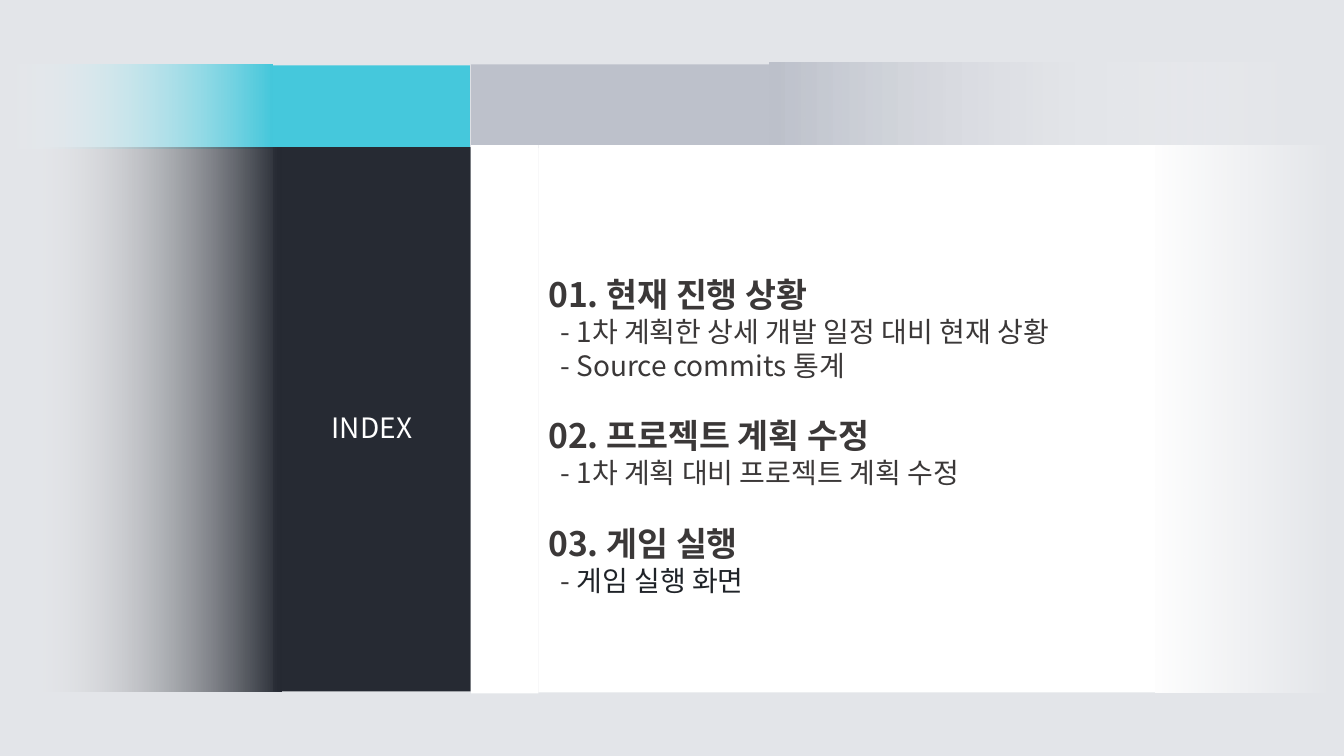
from lxml.etree import SubElement
from pptx import Presentation
from pptx.dml.color import RGBColor
from pptx.enum.shapes import MSO_SHAPE
from pptx.enum.text import MSO_ANCHOR, PP_ALIGN
from pptx.oxml.ns import qn
from pptx.util import Inches, Pt

COLORS = {
    "background": "E3E5E9",
    "teal": "45C8DC",
    "dark": "262A33",
    "grey": "BDC1CB",
    "white": "FFFFFF",
    "text": "3B3838",
    "ink": "1F2328",
}
FONT = "Noto Sans CJK KR"

# Each section: heading, then its items as lists of (text, font, colour) runs.
SECTIONS = [
    ("01. 현재 진행 상황", [
        [("- 1차 계획한 상세 개발 일정 대비 현재 상황", FONT, "text")],
        [("- Source commits 통계", FONT, "text")],
    ]),
    ("02. 프로젝트 계획 수정", [
        [("- 1차 계획 대비 프로젝트 계획 수정", FONT, "text")],
    ]),
    ("03. 게임 실행", [
        [("- ", FONT, "text"), ("게임 실행 화면", "Calibri", "ink")],
    ]),
]


def rgb(name):
    return RGBColor.from_string(COLORS[name])


def add_panel(slide, left, top, width, height):
    panel = slide.shapes.add_shape(
        MSO_SHAPE.RECTANGLE,
        Inches(left), Inches(top), Inches(width), Inches(height))
    panel.shadow.inherit = False
    panel.line.fill.background()
    return panel


def add_solid(slide, color, *box):
    panel = add_panel(slide, *box)
    panel.fill.solid()
    panel.fill.fore_color.rgb = rgb(color)
    return panel


def add_fade(slide, color, angle, *box):
    """Add a panel that fades from the colour to transparent white."""
    panel = add_panel(slide, *box)
    panel.fill.gradient()
    panel.fill.gradient_angle = angle
    for stop, name, position in zip(
            panel.fill.gradient_stops, (color, "white"), (0, 1)):
        stop.color.rgb = rgb(name)
        stop.position = position
    gradient = panel._element.spPr.find(qn("a:gradFill"))
    faded = gradient.findall(".//" + qn("a:srgbClr"))[-1]
    SubElement(faded, qn("a:alpha"), val="0")


def add_run(paragraph, text, size, color, font=FONT, bold=False):
    run = paragraph.add_run()
    run.text = text
    run.font.size = Pt(size)
    run.font.bold = bold
    run.font.name = font
    run.font.color.rgb = rgb(color)
    SubElement(run._r.get_or_add_rPr(), qn("a:ea"), typeface=FONT)


def add_index_label(panel):
    panel.text_frame.vertical_anchor = MSO_ANCHOR.MIDDLE
    label = panel.text_frame.paragraphs[0]
    label.alignment = PP_ALIGN.CENTER
    label.line_spacing = 1.5
    add_run(label, "INDEX", 20, "white")


def add_contents(panel):
    frame = panel.text_frame
    frame.word_wrap = True
    frame.vertical_anchor = MSO_ANCHOR.MIDDLE
    frame.margin_top = Inches(0.38)
    for number, (title, items) in enumerate(SECTIONS):
        heading = frame.add_paragraph() if number else frame.paragraphs[0]
        heading.alignment = PP_ALIGN.JUSTIFY
        if number:
            heading.space_before = Pt(24)
        add_run(heading, title, 24, "text", bold=True)
        for runs in items:
            item = frame.add_paragraph()
            item.alignment = PP_ALIGN.JUSTIFY
            item._p.get_or_add_pPr().set("marL", str(Inches(0.12)))
            for text, font, color in runs:
                add_run(item, text, 20, color, font)


def main():
    deck = Presentation()
    deck.slide_width, deck.slide_height = Inches(13.33), Inches(7.5)
    slide = deck.slides.add_slide(deck.slide_layouts[6])
    slide.background.fill.solid()
    slide.background.fill.fore_color.rgb = rgb("background")

    add_solid(slide, "teal", 2.7, 0.65, 1.96, 0.83)
    add_index_label(add_solid(slide, "dark", 2.71, 1.46, 1.96, 5.4))
    add_solid(slide, "grey", 4.67, 0.64, 2.96, 0.83)
    add_contents(add_solid(slide, "white", 5.34, 1.44, 6.12, 5.43))
    add_fade(slide, "white", 0, 11.46, 1.44, 1.76, 5.43)
    add_fade(slide, "grey", 0, 7.63, 0.62, 5.26, 0.81)
    add_fade(slide, "teal", 180, 0.04, 0.64, 2.66, 0.83)
    add_fade(slide, "dark", 180, 0.13, 1.46, 2.66, 5.4)
    add_solid(slide, "white", 4.67, 1.44, 0.67, 5.44)
    deck.save("out.pptx")


if __name__ == "__main__":
    main()
